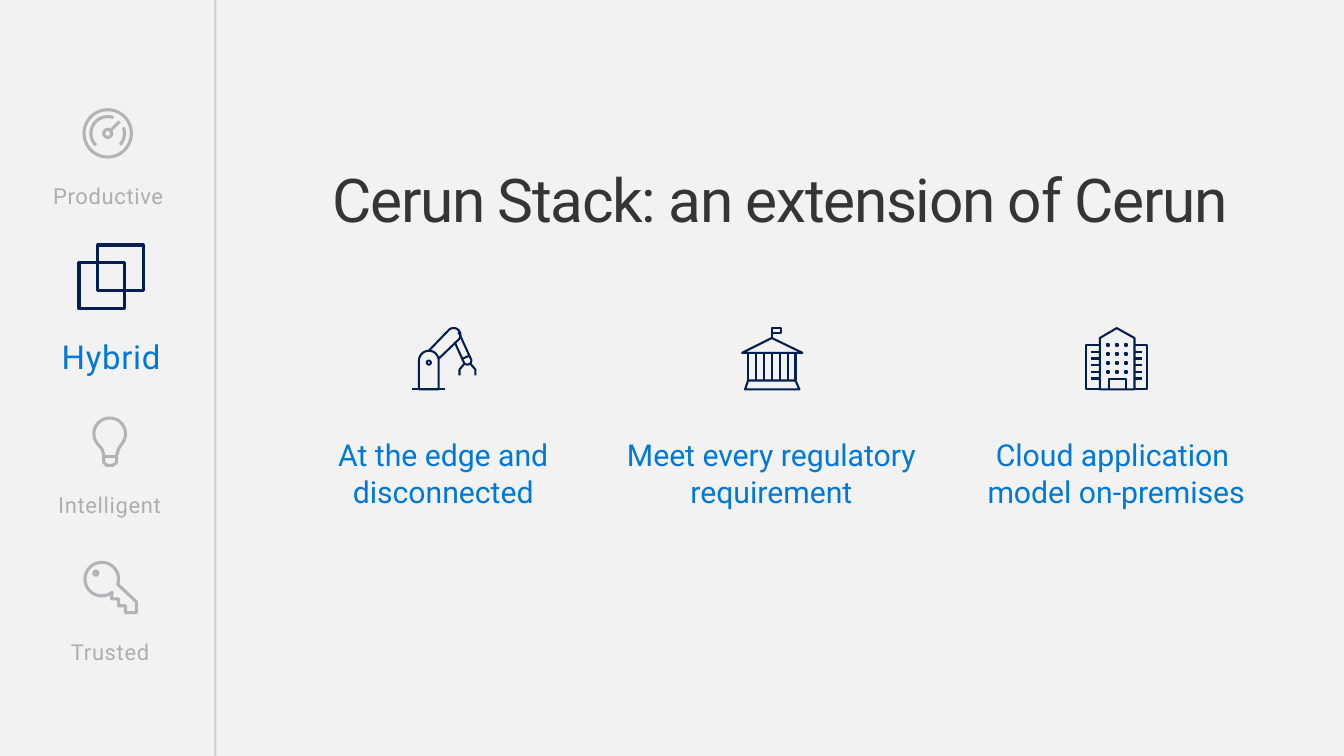
import math
from pptx import Presentation
from pptx import util as u
from pptx.dml.color import RGBColor
from pptx.enum import shapes, text
from pptx.oxml.ns import qn
from lxml import etree

PAPER = RGBColor(0xF2, 0xF2, 0xF2)
INK = RGBColor(0x35, 0x35, 0x35)
BLUE = RGBColor(0x00, 0x78, 0xD7)
NAVY = RGBColor(0x00, 0x1F, 0x50)
MUTED = RGBColor(0xAE, 0xAE, 0xAE)
ICON_GRAY = RGBColor(0xB3, 0xB2, 0xB4)
RULE_GRAY = RGBColor(0xBF, 0xBF, 0xBF)
WIDTH, HEIGHT = 13.6, 7.65


def arc(x, y, radius, start=0, end=360):
    """Points along an arc, in degrees measured clockwise from the right."""
    steps = max(6, round(abs(end - start) / 10))
    angles = [math.radians(start + (end - start) * i / steps) for i in range(steps + 1)]
    return [(x + radius * math.cos(a), y + radius * math.sin(a)) for a in angles]


def rectangle_outline(left, top, right, bottom):
    return [(left, top), (right, top), (right, bottom), (left, bottom), (left, top)]


def add_rectangle(page, left, top, width, height):
    box = page.shapes.add_shape(shapes.MSO_SHAPE.RECTANGLE, *map(u.Inches, (left, top, width, height)))
    box.shadow.inherit = False
    return box


def set_outline(shape, color, weight):
    shape.fill.background()
    shape.line.color.rgb = color
    shape.line.width = u.Pt(weight)


def add_icon(page, strokes, color, weight):
    """Draw all strokes as one outline; a stroke ending at its start is closed."""
    outlines = [[(u.Inches(x), u.Inches(y)) for x, y in stroke] for stroke in strokes]
    builder = page.shapes.build_freeform(*outlines[0][0], scale=1.0)
    for number, points in enumerate(outlines):
        if number:
            builder.move_to(*points[0])
        builder.add_line_segments(points[1:], close=points[0] == points[-1])
    icon = builder.convert_to_shape()
    icon.shadow.inherit = False
    set_outline(icon, color, weight)


def add_text(page, words, at, size, color, spacing=0, frame_format=None, para_format=None):
    box = page.shapes.add_textbox(*map(u.Inches, at))
    frame = box.text_frame
    for name, value in ({"word_wrap": True} | (frame_format or {})).items():
        setattr(frame, name, value)
    para = frame.paragraphs[0]
    para.text = words
    for name, value in ({"alignment": text.PP_ALIGN.CENTER} | (para_format or {})).items():
        setattr(para, name, value)
    for span in para.runs:
        for name, value in {"name": "Roboto", "size": u.Pt(size)}.items():
            setattr(span.font, name, value)
        span.font.color.rgb = color
        if spacing:
            span._r.get_or_add_rPr().set("spc", str(round(spacing * 100)))


def add_divider(page):
    x = u.Inches(2.18)
    divider = page.shapes.add_connector(shapes.MSO_CONNECTOR.STRAIGHT, x, 0, x, u.Inches(HEIGHT))
    divider.line.color.rgb = RULE_GRAY
    divider.line.width = u.Pt(1.5)
    properties = divider._element.spPr
    color = properties.find(".//" + qn("a:srgbClr"))
    etree.SubElement(color, qn("a:alpha")).set("val", "70000")
    etree.SubElement(properties, qn("a:effectLst"))


def gauge_strokes():
    return [
        arc(1.09, 1.35, 0.24),
        arc(1.09, 1.35, 0.04),
        arc(1.09, 1.35, 0.17, 43, -21),
        arc(1.09, 1.35, 0.17, -70, -225),
        [(1.21, 1.23), (1.12, 1.32)],
    ]


def bulb_strokes():
    neck = [(1.03, 4.54), (1.05, 4.6), (1.05, 4.68), (1.08, 4.71), (1.14, 4.71),
            (1.18, 4.68), (1.18, 4.61), (1.2, 4.54)]
    glass = arc(1.11, 4.39, 0.16, 43, -223)
    return [glass + neck + glass[:1], [(1.05, 4.62), (1.18, 4.62)]]


def key_strokes():
    head = arc(1.03, 5.86, 0.17, 52, 378)
    teeth = [(1.38, 6.09), (1.38, 6.2), (1.27, 6.2), (1.27, 6.13),
             (1.2, 6.13), (1.2, 6.06), (1.13, 6.06)]
    return [arc(0.97, 5.8, 0.02), head + teeth + head[:1]]


def robot_strokes():
    body = arc(4.34, 3.65, 0.1, 180, 360) + [(4.44, 3.94), (4.24, 3.94)]
    upper_arm = [(4.44, 3.63)] + arc(4.59, 3.39, 0.07, 45, -135) + [(4.34, 3.55)]
    forearm = [(4.64, 3.36)] + arc(4.73, 3.65, 0.04, -15, 155) + [(4.6, 3.46)]
    claws = [[(4.73 + side * 0.03, 3.68), (4.73 + side * 0.08, 3.74), (4.73 + side * 0.08, 3.8)]
             for side in (-1, 1)]
    return [body + body[:1], [(4.17, 3.94), (4.5, 3.94)], arc(4.34, 3.67, 0.02),
            upper_arm, forearm, [(4.68, 3.63), (4.75, 3.6)], *claws]


def government_strokes():
    roof = [(7.81, 3.42), (8.12, 3.57), (7.51, 3.57), (7.81, 3.42)]
    base = [(7.57, 3.85), (8.05, 3.85), (8.09, 3.94), (7.54, 3.94), (7.57, 3.85)]
    flag = [(7.82, 3.37), (7.9, 3.37), (7.9, 3.32), (7.81, 3.32), (7.81, 3.42)]
    columns = [[(7.57 + 0.08 * i, 3.57), (7.57 + 0.08 * i, 3.85)] for i in range(7)]
    return [roof, base, flag, *columns]


def office_strokes():
    tower = [(11.13, 3.94), (11.13, 3.42), (11.3, 3.32), (11.48, 3.42), (11.48, 3.94), (11.13, 3.94)]
    door = [(11.22, 3.94), (11.22, 3.84), (11.39, 3.84), (11.39, 3.94)]
    strokes = [tower, door]
    for wall, outside, ledge in ((11.13, 10.99, 11.04), (11.48, 11.61, 11.56)):
        strokes.append([(wall, 3.49), (outside, 3.49), (outside, 3.94), (wall, 3.94)])
        strokes += [[(ledge, 3.56 + 0.27 * i / 4), (wall, 3.56 + 0.27 * i / 4)] for i in range(5)]
    for row in range(4):
        for column in range(3):
            left, top = 11.2 + 0.09 * column, 3.48 + 0.09 * row
            strokes.append(rectangle_outline(left, top, left + 0.02, top + 0.02))
    return strokes


def add_sidebar(page):
    for label, left, top, width, height, size, color in (
        ("Productive", 0.42, 1.8, 1.35, 0.38, 16, MUTED),
        ("Hybrid", 0.49, 3.36, 1.27, 0.51, 24, BLUE),
        ("Intelligent", 0.46, 4.93, 1.3, 0.38, 16, MUTED),
        ("Trusted", 0.61, 6.41, 1.01, 0.38, 16, MUTED),
    ):
        add_text(page, label, (left, top, width, height), size, color, 0.5,
                 {"word_wrap": False, "auto_size": text.MSO_AUTO_SIZE.SHAPE_TO_FIT_TEXT})
    for strokes in (gauge_strokes(), bulb_strokes(), key_strokes()):
        add_icon(page, strokes, ICON_GRAY, 2.25)
    for left, top in ((0.99, 2.48), (0.8, 2.66)):
        set_outline(add_rectangle(page, left, top, 0.46, 0.46), NAVY, 2.25)


def add_benefits(page):
    for caption, left, strokes in (
        ("At the edge and disconnected", 2.84, robot_strokes()),
        ("Meet every regulatory requirement", 6.16, government_strokes()),
        ("Cloud application \vmodel on-premises", 9.65, office_strokes()),
    ):
        add_icon(page, strokes, NAVY, 1.5)
        add_text(page, caption, (left, 4.3, 3.29, 0.97), 22, BLUE,
                 frame_format={"vertical_anchor": text.MSO_ANCHOR.MIDDLE})


def main():
    deck = Presentation()
    deck.slide_width, deck.slide_height = u.Inches(WIDTH), u.Inches(HEIGHT)
    page = deck.slides.add_slide(deck.slide_layouts[6])
    backdrop = add_rectangle(page, 0, 0, WIDTH, HEIGHT)
    backdrop.fill.solid()
    backdrop.fill.fore_color.rgb = PAPER
    backdrop.line.fill.background()
    margins = {"margin_left": 0.16, "margin_top": 0.1, "margin_right": 0.16, "margin_bottom": 0.1}
    add_text(page, "Cerun Stack: an extension of Cerun", (3.14, 1.62, 9.51, 1), 44, INK, -1,
             {side: u.Inches(inset) for side, inset in margins.items()},
             {"line_spacing": 0.9, "space_after": u.Pt(6)})
    add_benefits(page)
    add_divider(page)
    add_sidebar(page)
    deck.save("out.pptx")


if __name__ == "__main__":
    main()
